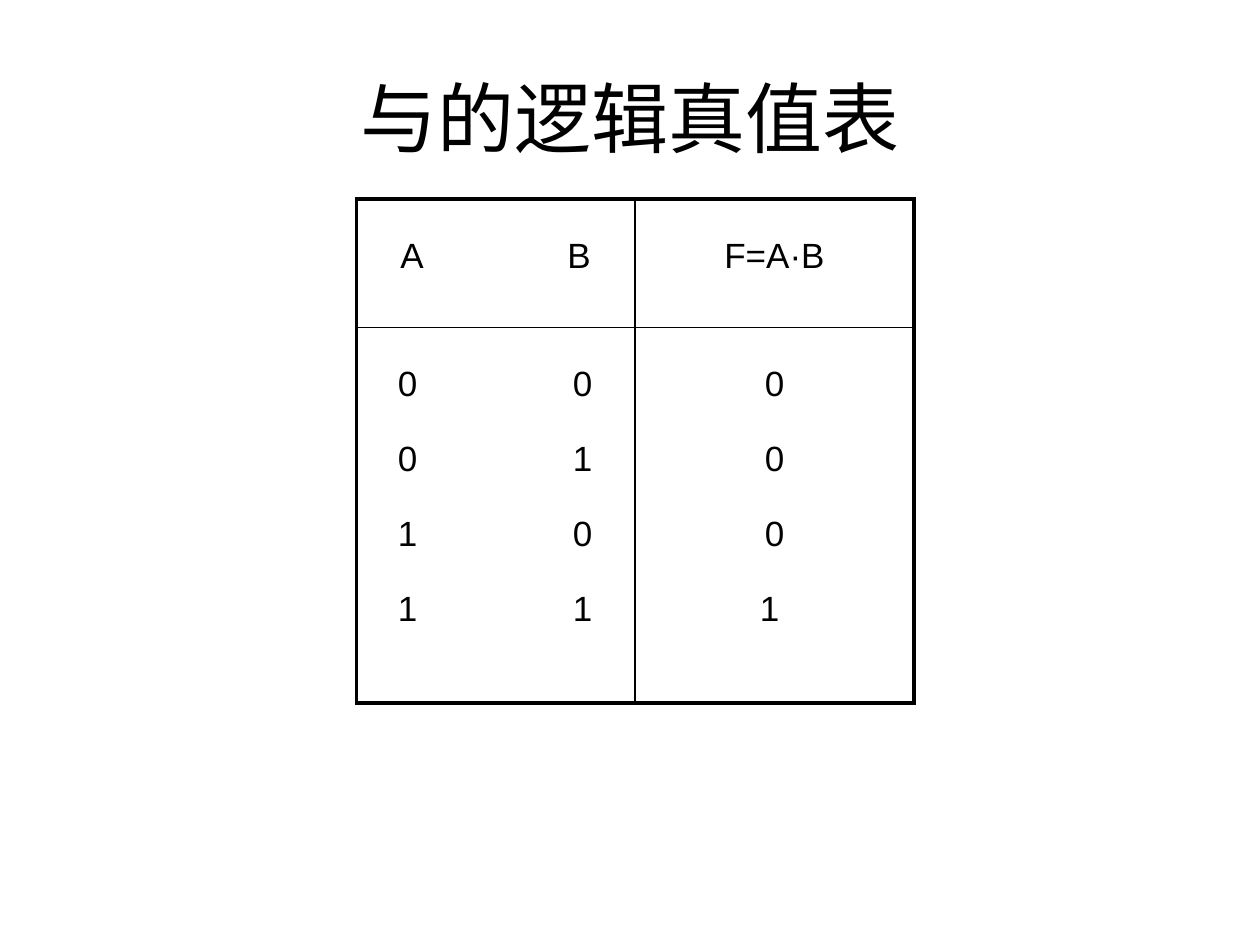
from lxml import etree
from pptx import Presentation
from pptx.dml.color import RGBColor
from pptx.enum import text
from pptx.oxml.ns import qn
from pptx.util import Pt

FONT = "Arial"
BLACK = "000000"
THIN, THICK = 1, 2.25
INPUT_ROWS = ["\t0\t0", "\t0\t1", "\t1\t0", "\t1\t1"]
OUTPUT_ROWS = ["0", "0", "0", "1 "]


def color(value):
    return RGBColor.from_string(value)


def write(para, content, size):
    para.alignment = text.PP_ALIGN.CENTER
    span = para.add_run()
    span.text = content
    span.font.name = FONT
    span.font.size = Pt(size)
    span.font.color.rgb = color(BLACK)


def add_title(page, content):
    box = page.shapes.add_textbox(Pt(36), Pt(21.6), Pt(648), Pt(90))
    frame = box.text_frame
    frame.word_wrap = True
    frame.vertical_anchor = text.MSO_ANCHOR.MIDDLE
    write(frame.paragraphs[0], content, 44)


def set_tabs(para, stops):
    """Align the paragraph left with centred tab stops, given in points."""
    para.alignment = text.PP_ALIGN.LEFT
    tabs = etree.SubElement(para._p.get_or_add_pPr(), qn("a:tabLst"))
    for stop in stops:
        etree.SubElement(tabs, qn("a:tab"), pos=str(Pt(stop)), algn="ctr")


def fill_cell(cell, lines, stops=()):
    frame = cell.text_frame
    for index, line in enumerate(lines):
        para = frame.paragraphs[0] if index == 0 else frame.add_paragraph()
        para.line_spacing = 1.8
        if index:
            para.space_before = Pt(2.6)
        write(para, line, 20)
        if stops:
            set_tabs(para, stops)


def set_borders(cell, widths):
    """Draw the left, right, top and bottom borders, widths in points."""
    properties = cell._tc.get_or_add_tcPr()
    for index, (side, width) in enumerate(zip("LRTB", widths)):
        line = etree.Element(qn(f"a:ln{side}"), w=str(Pt(width)))
        fill = etree.SubElement(line, qn("a:solidFill"))
        etree.SubElement(fill, qn("a:srgbClr"), val=BLACK)
        properties.insert(index, line)


def add_truth_table(page):
    frame = page.shapes.add_table(2, 2, Pt(203.75), Pt(113.75), Pt(318.5), Pt(288))
    table = frame.table
    table.first_row = table.horz_banding = False
    for row, height in zip(table.rows, (73.5, 214.5)):
        row.height = Pt(height)

    fill_cell(table.cell(0, 0), ["\tA\tB"], (24.5, 120))
    fill_cell(table.cell(0, 1), ["F=A·B"])
    fill_cell(table.cell(1, 0), INPUT_ROWS, (22, 122))
    fill_cell(table.cell(1, 1), OUTPUT_ROWS)

    for row in range(2):
        for column in range(2):
            cell = table.cell(row, column)
            cell.fill.background()
            outer = (column == 0, column == 1, row == 0, row == 1)
            set_borders(cell, [THICK if edge else THIN for edge in outer])


def main():
    deck = Presentation()
    deck.slide_width, deck.slide_height = Pt(720), Pt(540)
    page = deck.slides.add_slide(deck.slide_layouts[6])
    add_title(page, "与的逻辑真值表")
    add_truth_table(page)
    deck.save("out.pptx")


if __name__ == "__main__":
    main()
